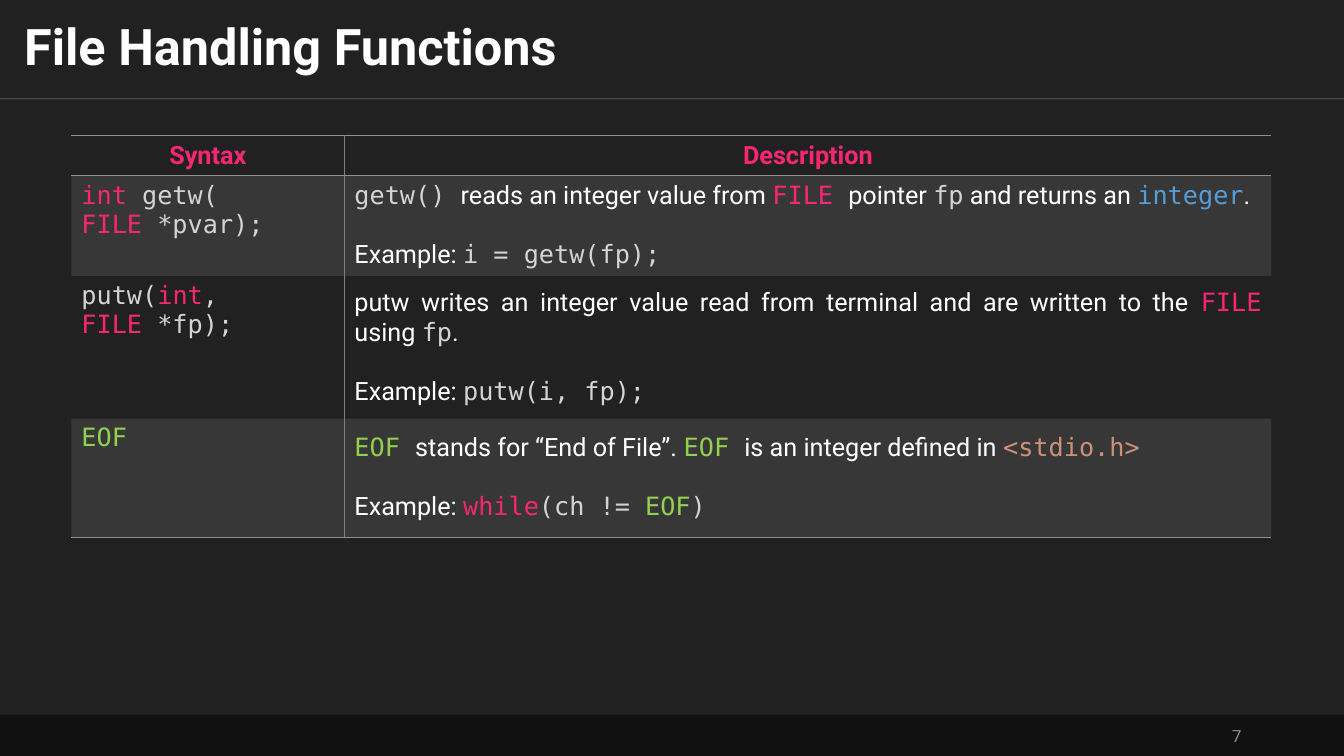
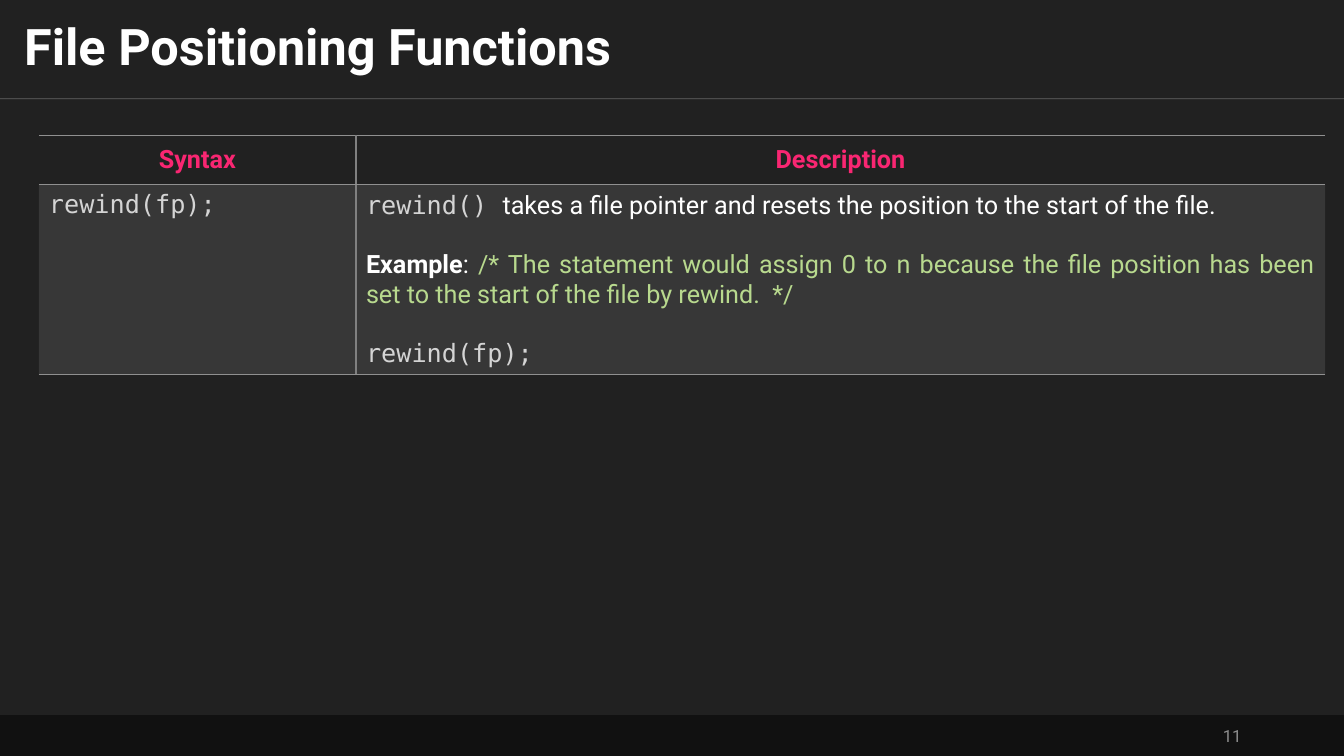
from dataclasses import dataclass

from lxml.etree import SubElement
from pptx import Presentation
from pptx.dml.color import RGBColor
from pptx.enum.shapes import MSO_CONNECTOR as Connector, MSO_SHAPE as Preset
from pptx.enum.text import MSO_ANCHOR as Anchor, PP_ALIGN as Align
from pptx.oxml.ns import qn
from pptx.slide import Slide
from pptx.table import _Cell as Cell
from pptx.text.text import TextFrame
from pptx.util import Emu, Pt

PX = 9525
WIDTH, HEIGHT = 1280, 720
TITLE_HEIGHT, FOOTER_TOP, TABLE_TOP = 94, 681, 129
PROSE_FONT, CODE_FONT = "Roboto", "DejaVu Sans Mono"
BLANK_LINE = 21  # points between a description and its example
PLAIN_TABLE = "{2D5ABB26-0587-4C30-8999-92F81FD0307C}"
COLORS = {
    "background": "212121", "footer": "111111", "number": "8D8D8D",
    "white": "FFFFFF", "keyword": "F92672", "code": "D4D4D4",
    "type": "569CD6", "constant": "92D050", "string": "CE9178",
    "comment": "B8D98E", "rule": "909090", "divider": "808080",
}


@dataclass(frozen=True)
class Run:
    text: str
    color: str = "white"
    font: str = PROSE_FONT
    bold: bool = False


@dataclass(frozen=True)
class Para:
    runs: tuple[Run, ...]
    align: Align = Align.LEFT
    before: int = 0


@dataclass(frozen=True)
class Function:
    syntax: tuple[Para, ...]
    description: tuple[Para, ...]
    height: int


@dataclass(frozen=True)
class Page:
    title: str
    number: int
    left: int
    columns: tuple[int, int]
    header_height: int
    functions: tuple[Function, ...]


def code(text: str, color: str = "code") -> Run:
    return Run(text, color, CODE_FONT)


def line(*runs: Run, align: Align = Align.LEFT, before: int = 0) -> Para:
    return Para(runs, align, before)


def example(*runs: Run) -> Para:
    return line(Run("Example: "), *runs, before=BLANK_LINE)


def px(length: int) -> Emu:
    return Emu(length * PX)


def rgb(name: str) -> RGBColor:
    return RGBColor.from_string(COLORS[name])


def set_alpha(fill_parent, percent: int) -> None:
    color = next(fill_parent.iter(qn("a:srgbClr")))
    SubElement(color, qn("a:alpha"), val=str(percent * 1000))


def write_text(frame: TextFrame, paras: tuple[Para, ...], *, size: int = 18,
               anchor: Anchor = Anchor.MIDDLE, spacing: float = 1.0) -> None:
    frame.word_wrap = True
    frame.vertical_anchor = anchor
    for index, para in enumerate(paras):
        paragraph = frame.paragraphs[0] if index == 0 else frame.add_paragraph()
        paragraph.alignment = para.align
        paragraph.line_spacing = spacing
        paragraph.space_before = Pt(para.before)
        for part in para.runs:
            run = paragraph.add_run()
            run.text = part.text
            run.font.name, run.font.size = part.font, Pt(size)
            run.font.bold = part.bold
            run.font.color.rgb = rgb(part.color)


def add_frame(slide: Slide, page: Page) -> None:
    # Title rule
    rule = slide.shapes.add_connector(
        Connector.STRAIGHT, 0, px(TITLE_HEIGHT), px(WIDTH), px(TITLE_HEIGHT))
    rule.line.color.rgb = rgb("white")
    rule.line.width = Pt(0.5)
    properties = rule._element.spPr
    set_alpha(properties, 30)
    SubElement(properties, qn("a:effectLst"))

    # Footer band and page number
    footer = slide.shapes.add_shape(
        Preset.RECTANGLE, 0, px(FOOTER_TOP), px(WIDTH), px(HEIGHT - FOOTER_TOP))
    footer.shadow.inherit = False
    footer.fill.solid()
    footer.fill.fore_color.rgb = rgb("footer")
    footer.line.fill.background()
    number = slide.shapes.add_textbox(px(904), px(682), px(288), px(38))
    write_text(number.text_frame,
               (line(Run(str(page.number), "number"), align=Align.RIGHT),), size=12)

    # Title
    title = slide.shapes.add_textbox(0, 0, px(WIDTH), px(TITLE_HEIGHT)).text_frame
    title.margin_left = title.margin_right = px(23)
    title.margin_top = title.margin_bottom = px(12)
    write_text(title, (line(Run(page.title, bold=True)),), size=36, spacing=0.9)


def add_border(cell: Cell, side: str, color: str) -> None:
    border = SubElement(cell._tc.get_or_add_tcPr(), qn(f"a:ln{side}"),
                        w=str(Pt(1)), cmpd="sng")
    fill = SubElement(border, qn("a:solidFill"))
    SubElement(fill, qn("a:srgbClr"), val=COLORS[color])


def style_cell(cell: Cell, row: int, column: int, last_row: int) -> None:
    # Borders come before the fill: left, right, top, bottom
    add_border(cell, "L" if column else "R", "divider")
    if row == 0:
        add_border(cell, "T", "rule")
    if row in (0, last_row):
        add_border(cell, "B", "rule")
    if row % 2:
        cell.fill.solid()
        cell.fill.fore_color.rgb = rgb("rule")
        set_alpha(cell._tc.tcPr.find(qn("a:solidFill")), 20)
    else:
        cell.fill.background()


def add_function_table(slide: Slide, page: Page) -> None:
    header = tuple((line(Run(label, "keyword", bold=True), align=Align.CENTER),)
                   for label in ("Syntax", "Description"))
    rows = [header] + [(item.syntax, item.description) for item in page.functions]
    heights = [page.header_height] + [item.height for item in page.functions]
    graphic = slide.shapes.add_table(
        len(rows), 2, px(page.left), px(TABLE_TOP),
        px(sum(page.columns)), px(sum(heights)))
    table = graphic.table
    table.first_row = table.horz_banding = False
    graphic._element.find(f".//{qn('a:tableStyleId')}").text = PLAIN_TABLE
    for column, width in zip(table.columns, page.columns):
        column.width = px(width)
    for r, (contents, height) in enumerate(zip(rows, heights)):
        table.rows[r].height = px(height)
        for c, paras in enumerate(contents):
            cell = table.cell(r, c)
            style_cell(cell, r, c, len(rows) - 1)
            anchor = Anchor.TOP if r and c == 0 else Anchor.MIDDLE
            write_text(cell.text_frame, paras, anchor=anchor)
            cell.vertical_anchor = anchor


FILE = code("FILE", "keyword")
FILE_WORD = code("FILE ", "keyword")
EOF = code("EOF", "constant")
EOF_WORD = code("EOF ", "constant")

GETW = Function(
    (line(code("int ", "keyword"), code("getw(")), line(FILE, code(" *pvar);"))),
    (line(code("getw() "), Run("reads an integer value from "), FILE_WORD,
          Run("pointer "), code("fp"), Run(" and returns an "),
          code("integer", "type"), Run(".")),
     example(code("i = getw(fp);"))),
    94)
PUTW = Function(
    (line(code("putw("), code("int", "keyword"), code(",")),
     line(FILE, code(" *fp);"))),
    (line(Run("putw writes an integer value read from terminal and are written to the "),
          FILE_WORD, Run("using "), code("fp"), Run("."), align=Align.JUSTIFY),
     example(code("putw(i, fp);"))),
    136)
END_OF_FILE = Function(
    (line(EOF),),
    (line(EOF_WORD, Run("stands for “End of File”. "), EOF_WORD,
          Run("is an integer defined in "), code("<stdio.h>", "string")),
     example(code("while", "keyword"), code("(ch != "), EOF, code(")"))),
    113)
REWIND = Function(
    (line(code("rewind(fp);")),),
    (line(code("rewind() "),
          Run("takes a file pointer and resets the position to the start of the file."),
          align=Align.JUSTIFY),
     line(Run("Example", bold=True), Run(": "),
          Run("/* The statement would assign 0 to n because the file position has been "
              "set to the start of the file by rewind.  */", "comment"),
          align=Align.JUSTIFY, before=BLANK_LINE),
     line(code("rewind(fp);"), align=Align.JUSTIFY, before=BLANK_LINE)),
    178)

PAGES = (
    Page("File Handling Functions", 7, 68, (260, 883), 38, (GETW, PUTW, END_OF_FILE)),
    Page("File Positioning Functions", 11, 37, (302, 923), 47, (REWIND,)),
)


def main() -> None:
    deck = Presentation()
    deck.slide_width, deck.slide_height = px(WIDTH), px(HEIGHT)
    blank = deck.slide_layouts[6]
    for page in PAGES:
        slide = deck.slides.add_slide(blank)
        slide.background.fill.solid()
        slide.background.fill.fore_color.rgb = rgb("background")
        add_frame(slide, page)
        add_function_table(slide, page)
    deck.save("out.pptx")


if __name__ == "__main__":
    main()
